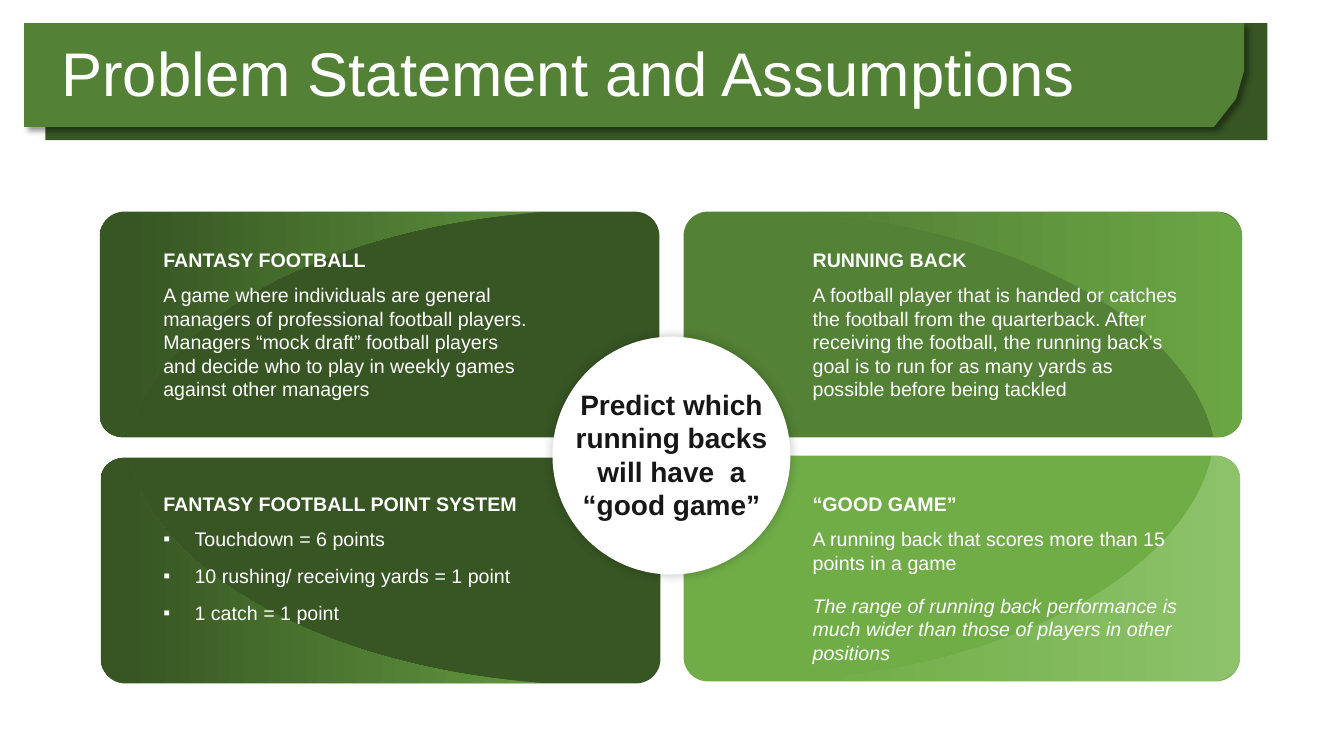
from lxml import etree
from pptx import Presentation
from pptx import util as u
from pptx.dml.color import RGBColor
from pptx.enum import shapes, text
from pptx.oxml import ns

COLORS = {
    "white": "FFFFFF", "black": "000000", "ink": "181717",
    "forest": "375623", "green": "538135", "leaf": "70AD47",
    "top_left": "5C903B", "bottom_left": "61983E",
    "top_right": "6BA644", "bottom_right": "8DC26A",
}
SHAPE = shapes.MSO_SHAPE
PANEL_H = 2.24
WEDGE = [
    (0.28, 2.24), (0.07, 2.24), (0, 2.12), (0, 2.01),
    (0, 0.25), (0, 0.13), (0.09, 0.01), (0.28, 0),
    (4.43, 0), (2.27, 0.14), (0.55, 1.07), (0.28, 2.24),
]


def rgb(name):
    return RGBColor.from_string(COLORS[name])


def add_shadow(sp, alpha, blur, dist=0, angle=0):
    effects = sp._element.spPr.find(ns.qn("a:effectLst"))
    outer = etree.SubElement(effects, ns.qn("a:outerShdw"), blurRad=str(u.Pt(blur)),
                             dist=str(u.Pt(dist)), dir=str(angle * 60000),
                             algn="ctr", rotWithShape="0")
    color = etree.SubElement(outer, ns.qn("a:srgbClr"), val=COLORS["black"])
    etree.SubElement(color, ns.qn("a:alpha"), val=str(alpha * 1000))


def finish(sp, fill=None):
    sp.shadow.inherit = False
    sp.line.fill.background()
    if fill:
        sp.fill.solid()
        sp.fill.fore_color.rgb = rgb(fill)
    return sp


def add_block(s, kind, left, top, width, height, fill):
    sp = s.shapes.add_shape(kind, u.Inches(left), u.Inches(top),
                            u.Inches(width), u.Inches(height))
    return finish(sp, fill)


def add_outline(s, points, fill=None):
    pts = [(u.Inches(x), u.Inches(y)) for x, y in points]
    builder = s.shapes.build_freeform(*pts[0])
    builder.add_line_segments(pts[1:], close=True)
    return finish(builder.convert_to_shape(), fill)


def bend(sp, starts):
    lines = list(sp._element.iter(ns.qn("a:lnTo")))
    for i in starts:
        bezier = etree.Element(ns.qn("a:cubicBezTo"))
        lines[i].addprevious(bezier)
        for line in lines[i:i + 3]:
            bezier.append(line[0])
            line.getparent().remove(line)


def add_panel(s, left, top, width, fill, glow, right=False, bottom=False):
    panel = add_block(s, SHAPE.ROUNDED_RECTANGLE, left, top, width, PANEL_H, fill)
    panel.adjustments[0] = 0.108
    points = [(left + width - x if right else left + x,
               top + PANEL_H - y if bottom else top + y) for x, y in WEDGE]
    wedge = add_outline(s, points)
    bend(wedge, (0, 4, 8))
    wedge.fill.gradient()
    wedge.fill.gradient_angle = 180
    for stop, color, position in zip(wedge.fill.gradient_stops, (glow, fill), (0, 0.94)):
        stop.color.rgb = rgb(color)
        stop.position = position


def add_text(s, content, left, top, width, height, size=14, color="white", bold=False,
             italics=(), align=text.PP_ALIGN.LEFT, anchor=text.MSO_ANCHOR.TOP,
             inset=0.12, gap=0, bullet=None, spacing=None):
    sp = s.shapes.add_textbox(u.Inches(left), u.Inches(top), u.Inches(width), u.Inches(height))
    tf = sp.text_frame
    tf.word_wrap = True
    tf.vertical_anchor = anchor
    tf.margin_left = tf.margin_right = u.Inches(inset)
    for i, line in enumerate(content.split("\n")):
        p = tf.paragraphs[0] if i == 0 else tf.add_paragraph()
        p.alignment = align
        p.line_spacing = spacing
        p.space_before = u.Pt(gap if i else 0)
        if bullet:
            pPr = p._p.get_or_add_pPr()
            pPr.set("marL", str(u.Inches(0.31)))
            pPr.set("indent", str(-u.Inches(0.31)))
            etree.SubElement(pPr, ns.qn("a:buFont"), typeface="Arial")
            etree.SubElement(pPr, ns.qn("a:buChar"), char=bullet)
        r = p.add_run()
        r.text = line
        r.font.name = "Arial"
        r.font.size = u.Pt(size)
        r.font.bold = bold
        r.font.italic = i in italics
        r.font.color.rgb = rgb(color)


def add_topic(s, left, top, heading, body, height, **fmt):
    add_text(s, heading, left, top, 3.87, 0.34, bold=True)
    add_text(s, body, left, top + 0.35, 3.87, height, **fmt)


def add_header(s, title):
    add_block(s, SHAPE.RECTANGLE, 0.45, 0.23, 12.12, 1.16, "forest")
    banner = add_outline(s, [(0.24, 0.23), (12.34, 0.23), (12.34, 0.7), (12.26, 0.98),
                             (12.04, 1.26), (0.24, 1.26)], "green")
    add_shadow(banner, 40, 4, 3, 45)
    add_text(s, title, 0.51, 0.36, 10.98, 0.79, size=44, inset=0.1, spacing=0.9,
             anchor=text.MSO_ANCHOR.MIDDLE)


def add_hub(s, message):
    halo = add_block(s, SHAPE.OVAL, 5.48, 3.34, 2.36, 2.36, "white")
    add_shadow(halo, 24, 8)
    add_block(s, SHAPE.OVAL, 5.5, 3.36, 2.32, 2.32, "white")
    add_text(s, message, 5.5, 3.79, 2.32, 1.45, size=20, color="ink", bold=True,
             align=text.PP_ALIGN.CENTER)


def main():
    prs = Presentation()
    prs.slide_width, prs.slide_height = u.Inches(13.33), u.Inches(7.5)
    s = prs.slides.add_slide(prs.slide_layouts[6])
    add_header(s, "Problem Statement and Assumptions")

    add_panel(s, 6.78, 4.52, 5.52, "leaf", "bottom_right", right=True, bottom=True)
    add_panel(s, 6.78, 2.1, 5.54, "green", "top_right", right=True)
    add_panel(s, 1, 4.54, 5.55, "forest", "bottom_left", bottom=True)
    add_panel(s, 0.99, 2.1, 5.55, "forest", "top_left")

    add_topic(s, 1.5, 4.83, "FANTASY FOOTBALL POINT SYSTEM",
              "Touchdown = 6 points\n10 rushing/ receiving yards = 1 point\n1 catch = 1 point",
              1.08, bullet="▪", gap=9.5)
    add_topic(s, 1.5, 2.41, "FANTASY FOOTBALL",
              "A game where individuals are general managers of professional football "
              "players. Managers “mock draft” football players and decide who to play in "
              "weekly games against other managers", 1.28)
    add_hub(s, "Predict which running backs will have  a “good game”")
    add_topic(s, 7.94, 2.41, "RUNNING BACK",
              "A football player that is handed or catches the football from the quarterback. "
              "After receiving the football, the running back’s goal is to run for as many "
              "yards as possible before being tackled", 1.28)
    add_topic(s, 7.94, 4.83, "“GOOD GAME”",
              "A running back that scores more than 15 points in a game\n"
              "The range of running back performance is much wider than those of players "
              "in other positions", 1.51, gap=14, italics=(1,))
    prs.save("out.pptx")


if __name__ == "__main__":
    main()
